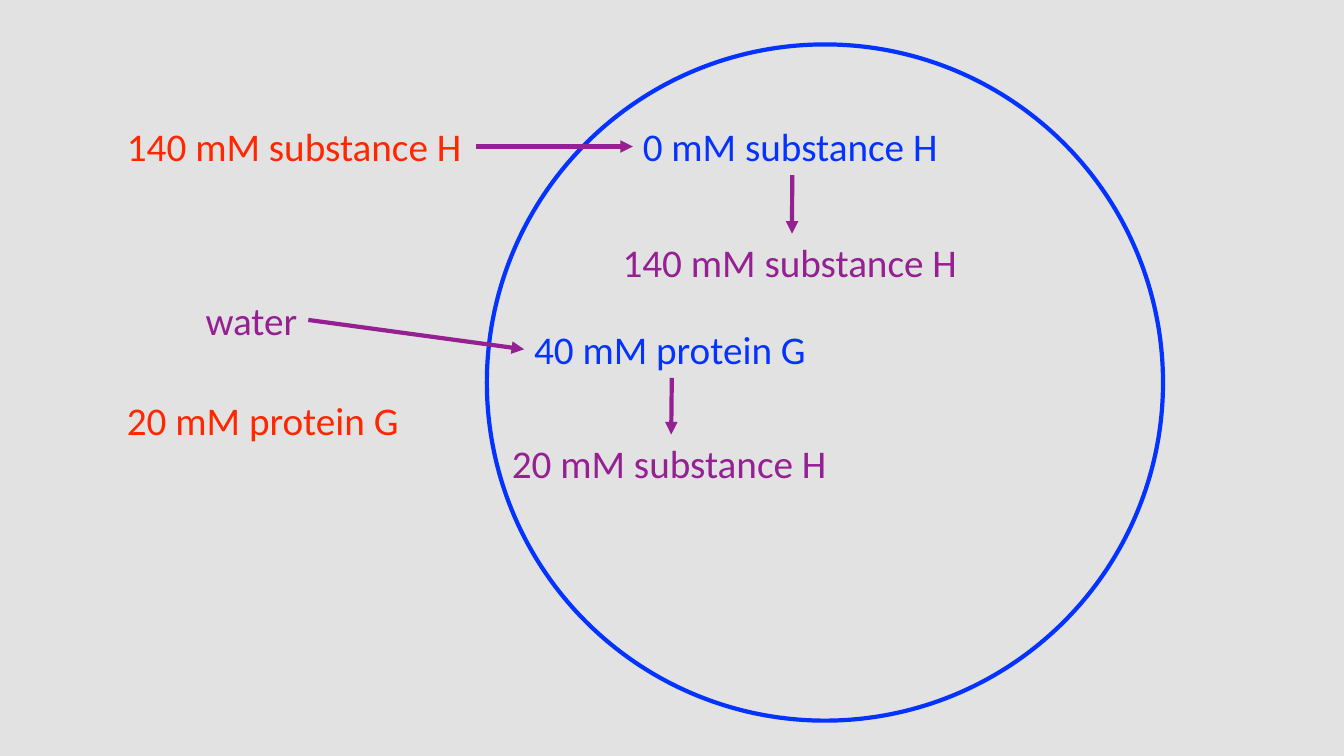
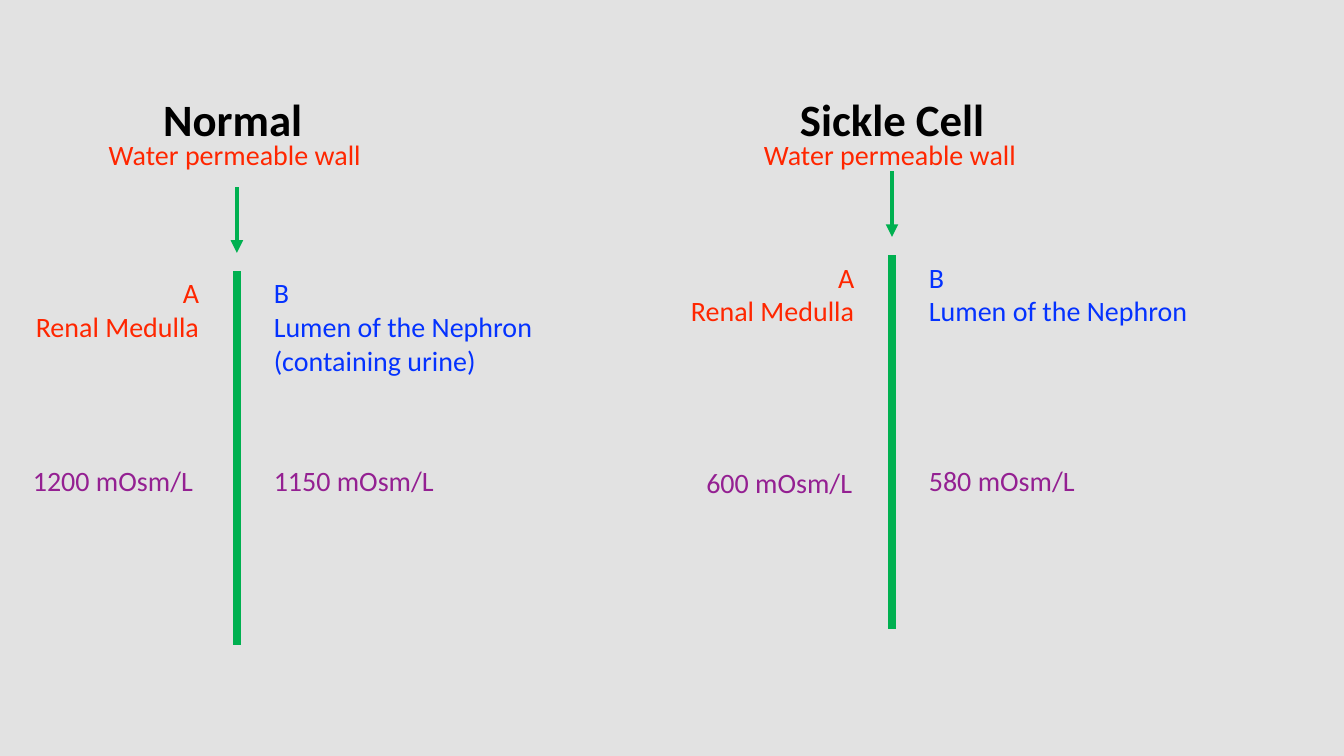
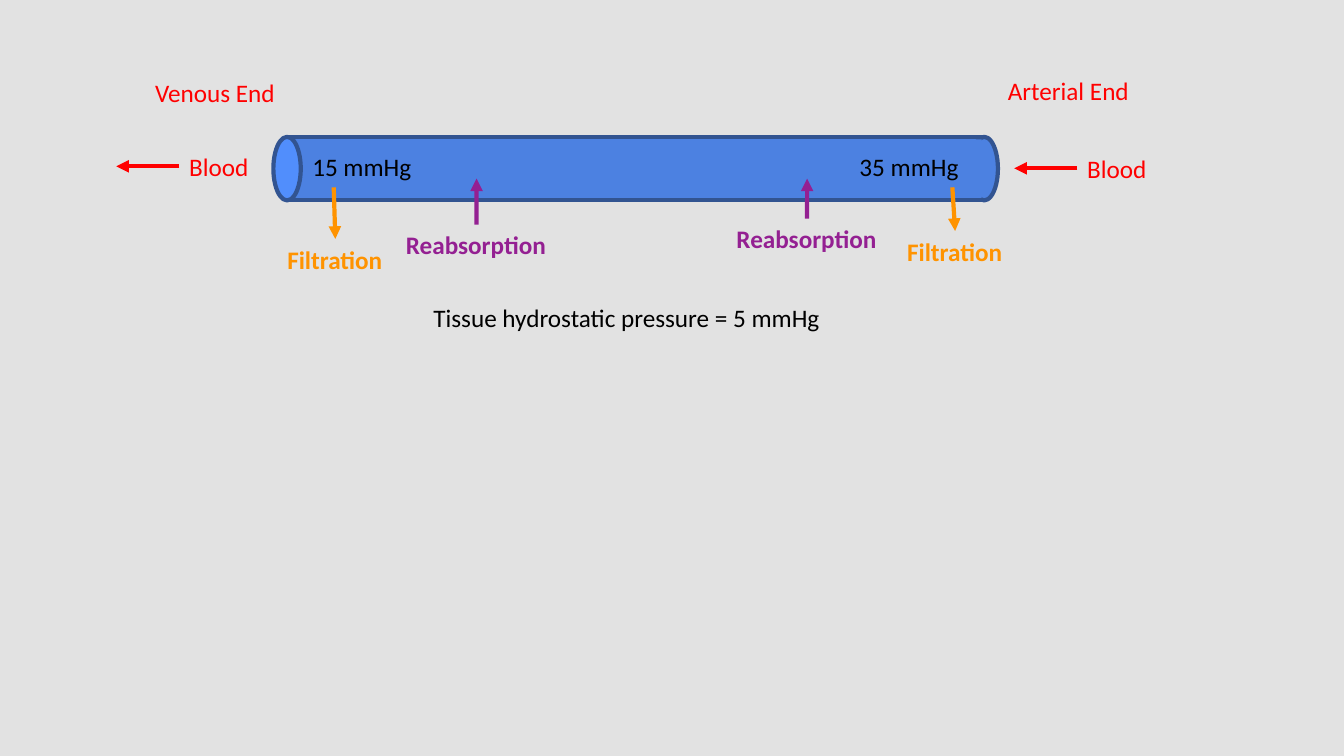
from pptx import Presentation
from pptx.dml.color import RGBColor
from pptx.enum.shapes import MSO_CONNECTOR, MSO_SHAPE
from pptx.enum.text import MSO_AUTO_SIZE, PP_ALIGN
from pptx.oxml.ns import qn
from pptx.util import Cm, Pt
from lxml.etree import SubElement

COLOURS = {
    "background": "E2E2E2",
    "inside": "0432FF",
    "outside": "FF2600",
    "change": "942092",
    "wall": "00B050",
    "blood": "FF0000",
    "filtration": "FF9300",
    "vessel": "4C81E1",
    "vessel_end": "518EFC",
    "vessel_edge": "325491",
    "text": "000000",
}
RGB = {name: RGBColor.from_string(value) for name, value in COLOURS.items()}
FONT = "Calibri"


def write(slide, text, left, top, width, size=18, colour="text", bold=False,
          align=PP_ALIGN.LEFT, wrap=False):
    lines = text.split("\n")
    height = 0.0423 * size * len(lines) + 0.26
    box = slide.shapes.add_textbox(Cm(left), Cm(top), Cm(width), Cm(height))
    frame = box.text_frame
    frame.word_wrap = wrap
    frame.auto_size = MSO_AUTO_SIZE.SHAPE_TO_FIT_TEXT
    frame.text = text
    for paragraph in frame.paragraphs:
        paragraph.alignment = align
        font = paragraph.runs[0].font
        font.name, font.size, font.bold = FONT, Pt(size), bold
        font.color.rgb = RGB[colour]
    return box


def connect(slide, colour, start=(0, 0), end=(0, 0), start_join=None,
            end_join=None, width=3, arrow=True):
    line = slide.shapes.add_connector(
        MSO_CONNECTOR.STRAIGHT, *(Cm(value) for value in (*start, *end)))
    if start_join:
        line.begin_connect(*start_join)
    if end_join:
        line.end_connect(*end_join)
    line.line.color.rgb = RGB[colour]
    line.line.width = Pt(width)
    if arrow:
        SubElement(line.line._get_or_add_ln(), qn("a:tailEnd"), type="triangle")
    SubElement(line._element.spPr, qn("a:effectLst"))


deck = Presentation()
deck.slide_width, deck.slide_height = Cm(33.87), Cm(19.05)
backdrop = deck.slide_master.background.fill
backdrop.solid()
backdrop.fore_color.rgb = RGB["background"]
osmosis, kidney, capillary = [
    deck.slides.add_slide(deck.slide_layouts[6]) for _ in range(3)]

cell = osmosis.shapes.add_shape(
    MSO_SHAPE.OVAL, Cm(12.27), Cm(1.12), Cm(17.04), Cm(17.04))
cell.shadow.inherit = False
cell.fill.background()
cell.line.color.rgb = RGB["inside"]
cell.line.width = Pt(3)

solutes = {}
for key, text, left, top, width, colour in [
    ("protein_in", "40 mM protein G", 13.21, 8.08, 7.44, "inside"),
    ("protein_out", "20 mM protein G", 2.95, 9.86, 7.44, "outside"),
    ("h_out", "140 mM substance H", 2.95, 2.97, 9.04, "outside"),
    ("h_in", "0 mM substance H", 15.95, 2.97, 8.03, "inside"),
    ("h_after", "140 mM substance H", 15.44, 5.89, 9.04, "change"),
    ("water", "water", 4.93, 7.34, 2.84, "change"),
    ("protein_after", "20 mM substance H", 12.65, 10.95, 8.53, "change"),
]:
    solutes[key] = write(osmosis, text, left, top, width, size=28, colour=colour)

for source, source_side, target, target_side in [
    ("h_out", 3, "h_in", 1),
    ("h_in", 2, "h_after", 0),
    ("water", 3, "protein_in", 1),
    ("protein_in", 2, "protein_after", 0),
]:
    connect(osmosis, "change", start_join=(solutes[source], source_side),
            end_join=(solutes[target], target_side))

for wall, wall_top, heading, heading_left, heading_width, lumen, medulla_osm, \
        lumen_osm, osm_left, osm_top, osm_width in [
    (5.97, 6.83, "Normal", 3.86, 4.22,
     "B\nLumen of the Nephron\n(containing urine)",
     "1200 mOsm/L", "1150 mOsm/L", 0.58, 11.56, 4.57),
    (22.48, 6.43, "Sickle Cell", 19.91, 5.21,
     "B\nLumen of the Nephron",
     "600 mOsm/L", "580 mOsm/L", 17.55, 11.61, 4.22),
]:
    lumen_left = wall + 0.68
    write(kidney, lumen, lumen_left, wall_top, 11.1, size=20, colour="inside",
          wrap=True)
    write(kidney, "A\nRenal Medulla", wall - 5.37, wall_top, 4.67, size=20,
          colour="outside", align=PP_ALIGN.RIGHT)
    connect(kidney, "wall", (wall, wall_top), (wall, wall_top + 9.43), width=6,
            arrow=False)
    write(kidney, "Water permeable wall", wall - 3.48, 3.33, 6.93, size=20,
          colour="outside")
    connect(kidney, "wall", (wall, wall_top - 2.11), (wall, wall_top - 0.46))
    write(kidney, medulla_osm, osm_left, osm_top, osm_width, size=20,
          colour="change")
    write(kidney, lumen_osm, lumen_left, 11.56, osm_width, size=20,
          colour="change")
    write(kidney, heading, heading_left, 2.18, heading_width, size=32, bold=True)

for outline, left, top, width, height, fill, edged in [
    (MSO_SHAPE.RECTANGLE, 7.24, 3.45, 17.58, 1.6, "vessel", True),
    (MSO_SHAPE.OVAL, 6.89, 3.45, 0.69, 1.6, "vessel_end", True),
    (MSO_SHAPE.OVAL, 24.46, 3.45, 0.69, 1.6, "vessel", True),
    (MSO_SHAPE.RECTANGLE, 23.65, 3.51, 1.09, 1.48, "vessel", False),
]:
    part = capillary.shapes.add_shape(outline, Cm(left), Cm(top), Cm(width), Cm(height))
    part.shadow.inherit = False
    part.fill.solid()
    part.fill.fore_color.rgb = RGB[fill]
    if edged:
        part.line.color.rgb = RGB["vessel_edge"]
        part.line.width = Pt(3)
    else:
        part.line.fill.background()

for text, left, top, width, colour in [
    ("15 mmHg", 7.62, 3.68, 3.05, "text"),
    ("35 mmHg", 21.41, 3.68, 3.05, "text"),
    ("Venous End", 3.66, 1.83, 3.56, "blood"),
    ("Arterial End", 25.15, 1.78, 3.58, "blood"),
    ("Tissue hydrostatic pressure = 5 mmHg", 10.67, 7.49, 10.69, "text"),
]:
    write(capillary, text, left, top, width, colour=colour)

for left, top in [(4.52, 3.68), (27.15, 3.73)]:
    blood = write(capillary, "Blood", left, top, 2.03, colour="blood")
    connect(capillary, "blood", end=(left - 1.59, top + 0.51),
            start_join=(blood, 1))

for left, top, start in [(6.99, 6.02, 8.41), (22.61, 5.82, 24)]:
    filtration = write(capillary, "Filtration", left, top, 2.92,
                       colour="filtration", bold=True)
    connect(capillary, "filtration", start=(start, 4.72),
            end_join=(filtration, 0))

for left, top in [(9.98, 5.66), (18.31, 5.51)]:
    reabsorption = write(capillary, "Reabsorption", left, top, 4.06,
                         colour="change", bold=True)
    connect(capillary, "change", end=(left + 2.03, 4.5),
            start_join=(reabsorption, 0))

deck.save("out.pptx")
